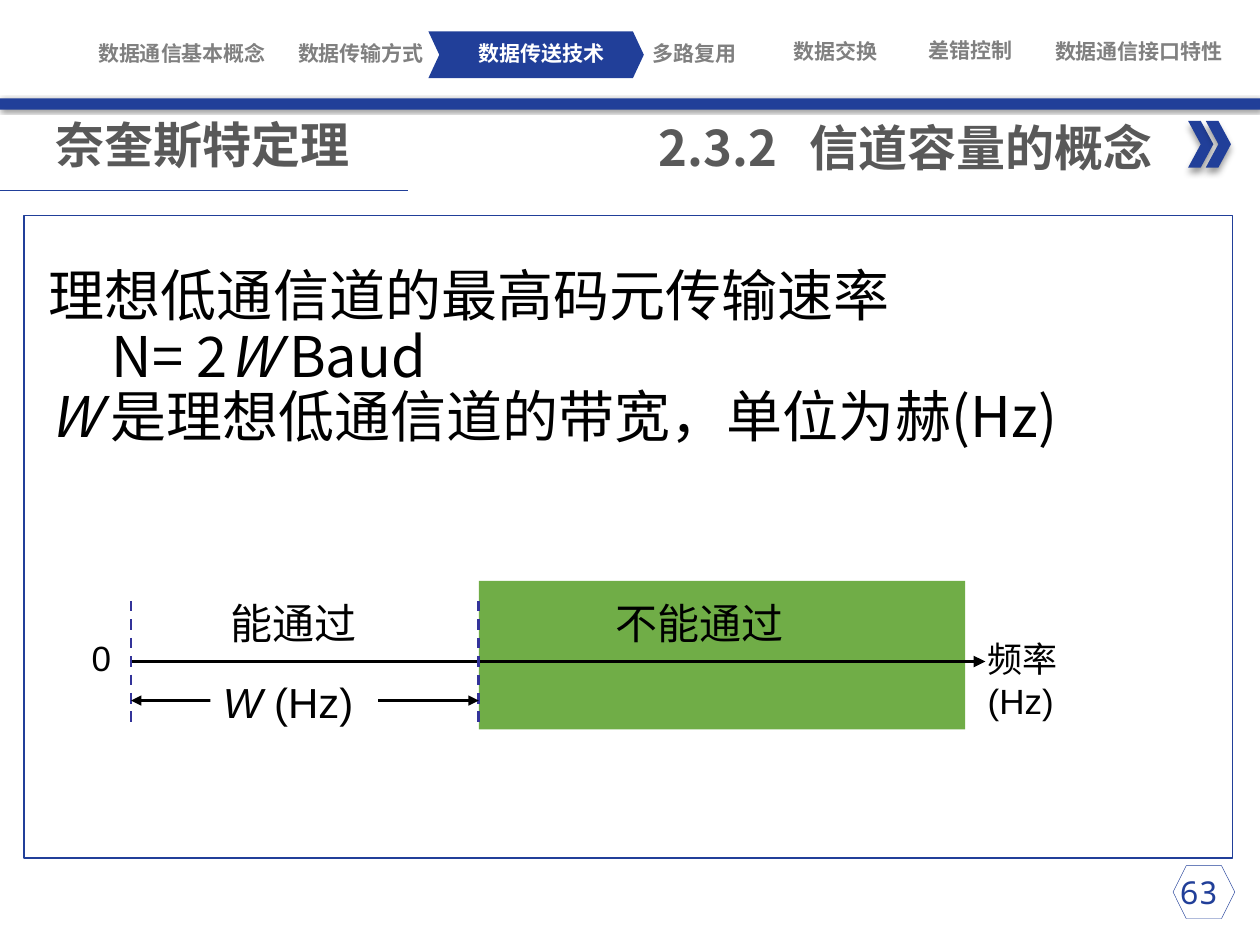
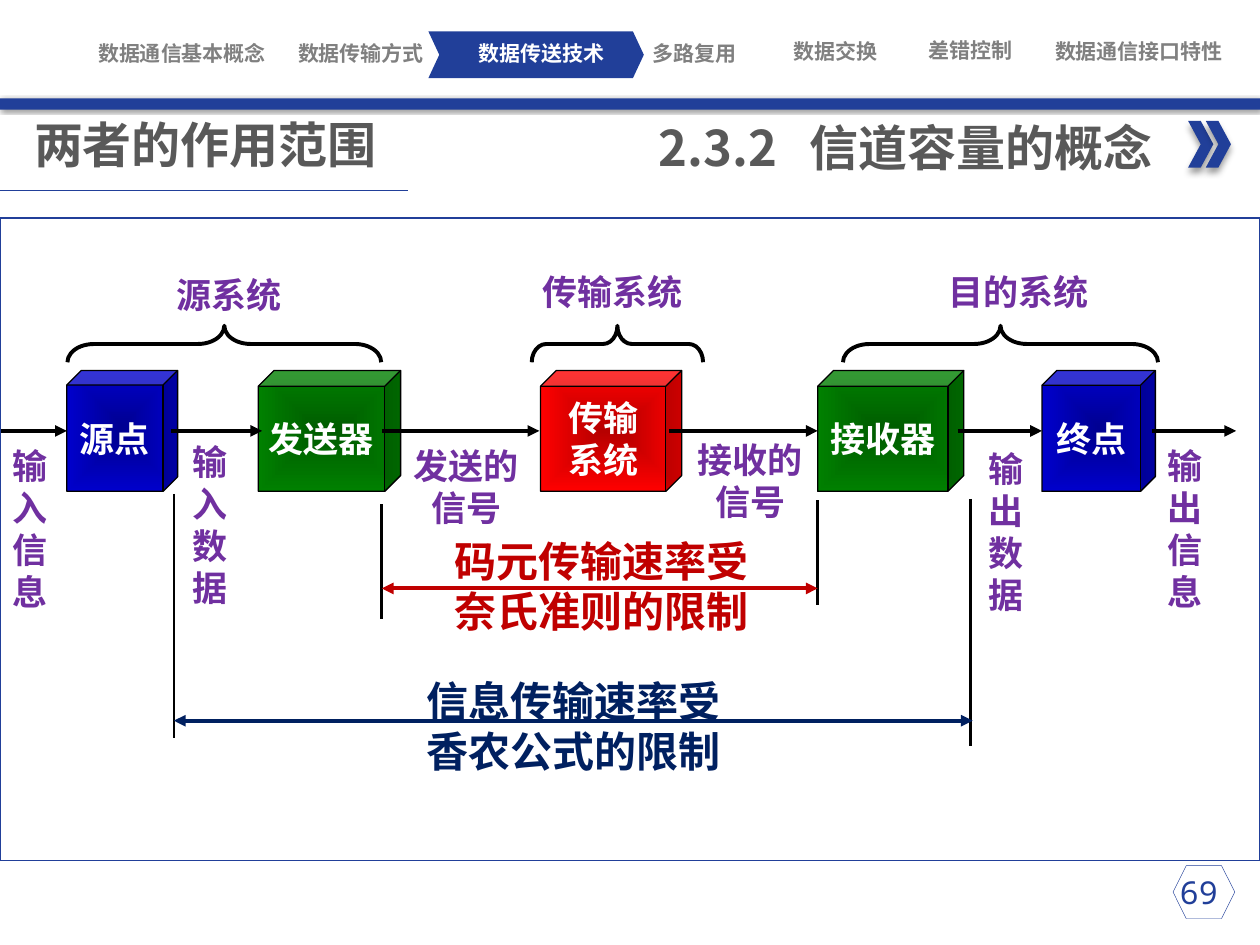
"""Build two slides on channel capacity: the Nyquist theorem and the scope of both limits."""
import pptx
import pptx.util
import pptx.oxml
import pptx.oxml.ns
from pptx.dml.color import RGBColor
from pptx.enum.dml import MSO_LINE
from pptx.enum.shapes import MSO_CONNECTOR, MSO_SHAPE
from pptx.enum.text import MSO_ANCHOR, MSO_AUTO_SIZE, PP_ALIGN
from pptx.util import Inches, Pt

NAVY = RGBColor(0x21, 0x3F, 0x99)
GRAY = RGBColor(0x80, 0x80, 0x80)
DARK_GRAY = RGBColor(0x59, 0x59, 0x59)
WHITE = RGBColor(0xFF, 0xFF, 0xFF)
BLACK = RGBColor(0, 0, 0)
GREEN = RGBColor(0x70, 0xAD, 0x47)
DASH_BLUE = RGBColor(0x33, 0x33, 0x99)
PURPLE = RGBColor(0x70, 0x30, 0xA0)
CRIMSON = RGBColor(0xC0, 0, 0)
DEEP_BLUE = RGBColor(0, 0x20, 0x60)
BLUE_CUBE = RGBColor(0, 0, 0x92), RGBColor(0, 0, 0xCC)
GREEN_CUBE = RGBColor(0, 0x5C, 0), RGBColor(0, 0x80, 0)
RED_CUBE = RGBColor(0xB6, 0, 0), RGBColor(0xFF, 0, 0)

CJK_FONT = "Noto Sans CJK SC"
NAV_FONT = "Roboto Condensed"
PAGE_FONT = "Noto Sans Mono"

CHAPTERS = [
    ("数据通信基本概念", 0.72, 0.32, 1.45),
    ("数据传输方式", 2.14, 0.32, 1.45),
    ("数据传送技术", 3.57, 0.32, 1.45),
    ("多路复用", 4.79, 0.32, 1.45),
    ("数据交换", 5.91, 0.31, 1.45),
    ("差错控制", 6.98, 0.3, 1.45),
    ("数据通信接口特性", 8.08, 0.31, 1.92),
]
CURRENT_CHAPTER = "数据传送技术"


def xml(markup):
    """Parse a DrawingML element."""
    namespace = pptx.oxml.ns.nsdecls("a")
    return pptx.oxml.parse_xml(markup.replace("@", namespace, 1))


def format_span(span, size, colour, font=CJK_FONT, bold=False):
    """Give a run its typeface, size, weight and colour."""
    span.font.name = font
    span.font.size = Pt(size)
    span.font.bold = bold
    span.font.color.rgb = colour
    latin = span.font._element.find(pptx.oxml.ns.qn("a:latin"))
    latin.addnext(xml(f'<a:ea @ typeface="{CJK_FONT}"/>'))


def write(frame, lines, size, colour, font=CJK_FONT, bold=False,
          align=PP_ALIGN.LEFT, anchor=MSO_ANCHOR.TOP, margins=(0.1, 0.05)):
    """Fill a text frame line by line, with the bandwidth symbol W in italics."""
    frame.word_wrap = True
    frame.auto_size = MSO_AUTO_SIZE.NONE
    frame.vertical_anchor = anchor
    frame.margin_left = frame.margin_right = Inches(margins[0])
    frame.margin_top = frame.margin_bottom = Inches(margins[1])
    for number, line in enumerate(lines):
        para = frame.add_paragraph() if number else frame.paragraphs[0]
        para.alignment = align
        for piece in filter(None, line.partition("W")):
            span = para.add_run()
            span.text = piece
            format_span(span, size, colour, font, bold)
            if piece == "W":
                span.font.italic = True


def add_text(slide, place, lines, size, colour, **style):
    """Add a text box at (left, top, width, height)."""
    box = slide.shapes.add_textbox(*map(Inches, place))
    write(box.text_frame, lines, size, colour, **style)
    return box


def add_shape(slide, kind, place, fill=None, line=None, width=0.75, adjust=()):
    """Add a flat preset shape with optional fill and outline."""
    shape = slide.shapes.add_shape(kind, *map(Inches, place))
    shape.shadow.inherit = False
    for index, value in enumerate(adjust):
        shape.adjustments[index] = value
    if fill is None:
        shape.fill.background()
    else:
        shape.fill.solid()
        shape.fill.fore_color.rgb = fill
    if line is None:
        shape.line.fill.background()
    else:
        shape.line.color.rgb = line
        shape.line.width = Pt(width)
    return shape


def add_shadow(shape, blur, distance, angle):
    """Cast a soft black shadow; lengths in points, angle in degrees."""
    effects = shape._element.spPr.find(pptx.oxml.ns.qn("a:effectLst"))
    effects.append(xml(
        f'<a:outerShdw @ blurRad="{Pt(blur)}" dist="{Pt(distance)}" dir="{angle * 60000}" '
        'algn="t" rotWithShape="0"><a:srgbClr val="000000"><a:alpha val="40000"/>'
        '</a:srgbClr></a:outerShdw>'))


def add_line(slide, start, end, colour=BLACK, width=2.25, head=False, tail=False, dash=None):
    """Draw a straight connector with optional arrowheads."""
    line = slide.shapes.add_connector(
        MSO_CONNECTOR.STRAIGHT, *map(Inches, start), *map(Inches, end))
    line.line.color.rgb = colour
    line.line.width = Pt(width)
    if dash:
        line.line.dash_style = dash
    outline = line.line._get_or_add_ln()
    for wanted, tag in ((head, "headEnd"), (tail, "tailEnd")):
        if wanted:
            outline.append(xml(f'<a:{tag} @ type="triangle"/>'))
    line._element.spPr.append(xml("<a:effectLst @/>"))
    return line


def add_cube(slide, left, width, lines, colours):
    """Draw one system component as a labelled cube, darker at the centre."""
    cube = add_shape(slide, MSO_SHAPE.CUBE, (left, 2.94, width, 0.96),
                     line=BLACK, adjust=[0.131])
    cube.fill.gradient()
    for stop, colour, position in zip(cube.fill.gradient_stops, colours, (0, 1)):
        stop.color.rgb = colour
        stop.position = position
    linear = cube._element.spPr.find(".//" + pptx.oxml.ns.qn("a:lin"))
    linear.getparent().replace(linear, xml(
        '<a:path @ path="rect"><a:fillToRect l="50000" t="50000" r="50000" b="50000"/></a:path>'))
    write(cube.text_frame, lines, 20, WHITE, bold=True, align=PP_ALIGN.CENTER,
          anchor=MSO_ANCHOR.MIDDLE, margins=(0, 0))


def add_brace(slide, centre, length, curve):
    """Draw a brace opening downwards over a group of components."""
    depth, middle = 0.29, 2.73
    brace = add_shape(slide, MSO_SHAPE.LEFT_BRACE,
                      (centre - depth / 2, middle - length / 2, depth, length),
                      line=BLACK, width=2.25, adjust=[curve, 0.5])
    brace.rotation = 90


def add_slide(deck, title, indent, number, panel):
    """Add a slide with the chapter bar, headings, panel frame and page number."""
    slide = deck.slides.add_slide(deck.slide_layouts[5])
    add_shape(slide, MSO_SHAPE.CHEVRON, (3.4, 0.25, 1.71, 0.37), NAVY, adjust=[0.234])
    for chapter, left, top, width in CHAPTERS:
        colour = WHITE if chapter == CURRENT_CHAPTER else GRAY
        add_text(slide, (left, top, width, 0.2), [chapter], 12, colour, font=NAV_FONT,
                 bold=True, align=PP_ALIGN.CENTER, anchor=MSO_ANCHOR.MIDDLE, margins=(0, 0))
    band = add_shape(slide, MSO_SHAPE.RECTANGLE, (0, 0.78, 10, 0.09), NAVY)
    add_shadow(band, 2, 1, 45)

    add_shape(slide, MSO_SHAPE.HEXAGON, (9.31, 6.87, 0.49, 0.42), line=NAVY, width=0.25)
    add_text(slide, (9.08, 6.88, 0.87, 0.4), [str(number)], 18, NAVY,
             font=PAGE_FONT, align=PP_ALIGN.CENTER)
    for left in (9.43, 9.57):
        add_shadow(add_shape(slide, MSO_SHAPE.CHEVRON, (left, 0.96, 0.2, 0.37), NAVY), 4, 3, 90)

    section = add_text(slide, (5.13, 0.88, 4.21, 0.57), ["2.3.2\t信道容量的概念"],
                       28, DARK_GRAY, bold=True)
    properties = section.text_frame.paragraphs[0]._p.get_or_add_pPr()
    properties.append(xml(f'<a:tabLst @><a:tab pos="{Inches(1.2)}" algn="l"/></a:tabLst>'))

    heading = slide.shapes.title
    heading.left, heading.top, heading.width, heading.height = map(
        Inches, (0, 0.86, 4.79, 0.57))
    write(heading.text_frame, [title], 28, DARK_GRAY, bold=True)
    heading.text_frame.margin_left = Inches(indent)
    add_line(slide, (0, 1.51), (3.24, 1.51), NAVY, 0.5)
    add_shape(slide, MSO_SHAPE.RECTANGLE, panel, line=NAVY)
    return slide


def build_nyquist(deck):
    """Slide on the Nyquist theorem with its pass-band diagram."""
    slide = add_slide(deck, "奈奎斯特定理", 0.44, 63, (0.19, 1.71, 9.59, 5.1))
    body = add_text(slide, (0.29, 2.08, 8.95, 1.56),
                    ["理想低通信道的最高码元传输速率", "N= 2W Baud",
                     "W 是理想低通信道的带宽，单位为赫(Hz)"], 32, BLACK)
    for para in body.text_frame.paragraphs:
        para.line_spacing = 0.9
    body.text_frame.paragraphs[1]._p.get_or_add_pPr().set("marL", str(Inches(0.5)))

    origin, cutoff, axis = 1.04, 3.8, 5.25
    add_shape(slide, MSO_SHAPE.RECTANGLE, (cutoff, 4.61, 3.86, 1.18), GREEN)
    add_line(slide, (origin, axis), (7.82, axis), tail=True)
    for place, lines, size, font in [
        ((4.79, 4.69, 1.62, 0.58), ["不能通过"], 24, "Lato"),
        ((1.73, 4.69, 1.2, 0.5), ["能通过"], 24, "Lato"),
        ((0.63, 5, 0.36, 0.43), ["0"], 20, "Arial"),
        ((7.74, 5.01, 1.28, 0.77), ["频率", "(Hz)"], 20, "Arial"),
    ]:
        add_text(slide, place, lines, size, BLACK, font=font)
    for edge in (origin, cutoff):
        add_line(slide, (edge, 4.77), (edge, 5.79), DASH_BLUE, 1.5, dash=MSO_LINE.DASH)
    add_line(slide, (origin, 5.56), (cutoff, 5.56), width=1.5, head=True, tail=True)
    bandwidth = add_text(slide, (1.67, 5.32, 1.33, 0.5), ["W (Hz)"], 24, BLACK, font="Arial")
    bandwidth.fill.solid()
    bandwidth.fill.fore_color.rgb = WHITE


def build_scope(deck):
    """Slide showing where the Nyquist and Shannon limits apply."""
    slide = add_slide(deck, "两者的作用范围", 0.27, 69, (0, 1.73, 10, 5.1))
    for centre, length, curve in [(1.78, 2.49, 0.72), (4.9, 1.36, 0.39), (7.94, 2.5, 0.72)]:
        add_brace(slide, centre, length, curve)
    for left, width, lines, colours in [
        (0.53, 0.88, ["源点"], BLUE_CUBE),
        (2.05, 1.13, ["发送器"], GREEN_CUBE),
        (4.29, 1.12, ["传输", "系统"], RED_CUBE),
        (6.49, 1.16, ["接收器"], GREEN_CUBE),
        (8.27, 0.9, ["终点"], BLUE_CUBE),
    ]:
        add_cube(slide, left, width, lines, colours)
    for start, end in [(0.01, 0.53), (1.36, 2.08), (3.03, 4.28),
                       (5.31, 6.49), (7.6, 8.27), (9.14, 9.81)]:
        add_line(slide, (start, 3.42), (end, 3.42), tail=True)

    for place, lines in [
        ((1.3, 2.12, 1.14, 0.43), ["源系统"]),
        ((4.21, 2.1, 1.33, 0.43), ["传输系统"]),
        ((7.43, 2.1, 1.42, 0.43), ["目的系统"]),
        ((0, 3.48, 0.67, 1.43), ["输入信息"]),
        ((1.43, 3.45, 0.67, 1.43), ["输入数据"]),
        ((7.75, 3.5, 0.67, 1.43), ["输出数据"]),
        ((9.17, 3.48, 0.67, 1.43), ["输出信息"]),
    ]:
        add_text(slide, place, lines, 20, PURPLE, bold=True)
    for place, lines in [
        ((3.11, 3.48, 1.18, 0.76), ["发送的", "信号"]),
        ((5.42, 3.43, 1.07, 0.76), ["接收的", "信号"]),
    ]:
        add_text(slide, place, lines, 20, PURPLE, bold=True, align=PP_ALIGN.CENTER)

    for edge, top, bottom in [(3.03, 4, 4.91), (6.49, 3.97, 4.8),
                              (1.38, 3.92, 5.86), (7.7, 3.96, 5.92)]:
        add_line(slide, (edge, top), (edge, bottom), width=1.5)
    for start, end, level, colour, place, lines in [
        (3.03, 6.49, 4.67, CRIMSON, (3.51, 4.2, 2.6, 0.91),
         ["码元传输速率受", "奈氏准则的限制"]),
        (1.38, 7.72, 5.72, DEEP_BLUE, (3.29, 5.31, 2.78, 0.91),
         ["信息传输速率受", "香农公式的限制"]),
    ]:
        add_line(slide, (start, level), (end, level), colour, head=True, tail=True)
        add_text(slide, place, lines, 24, colour, bold=True)


def main():
    """Build the deck and save it."""
    deck = pptx.Presentation()
    deck.slide_width, deck.slide_height = Inches(10), Inches(7.5)
    build_nyquist(deck)
    build_scope(deck)
    deck.save("out.pptx")


if __name__ == "__main__":
    main()
